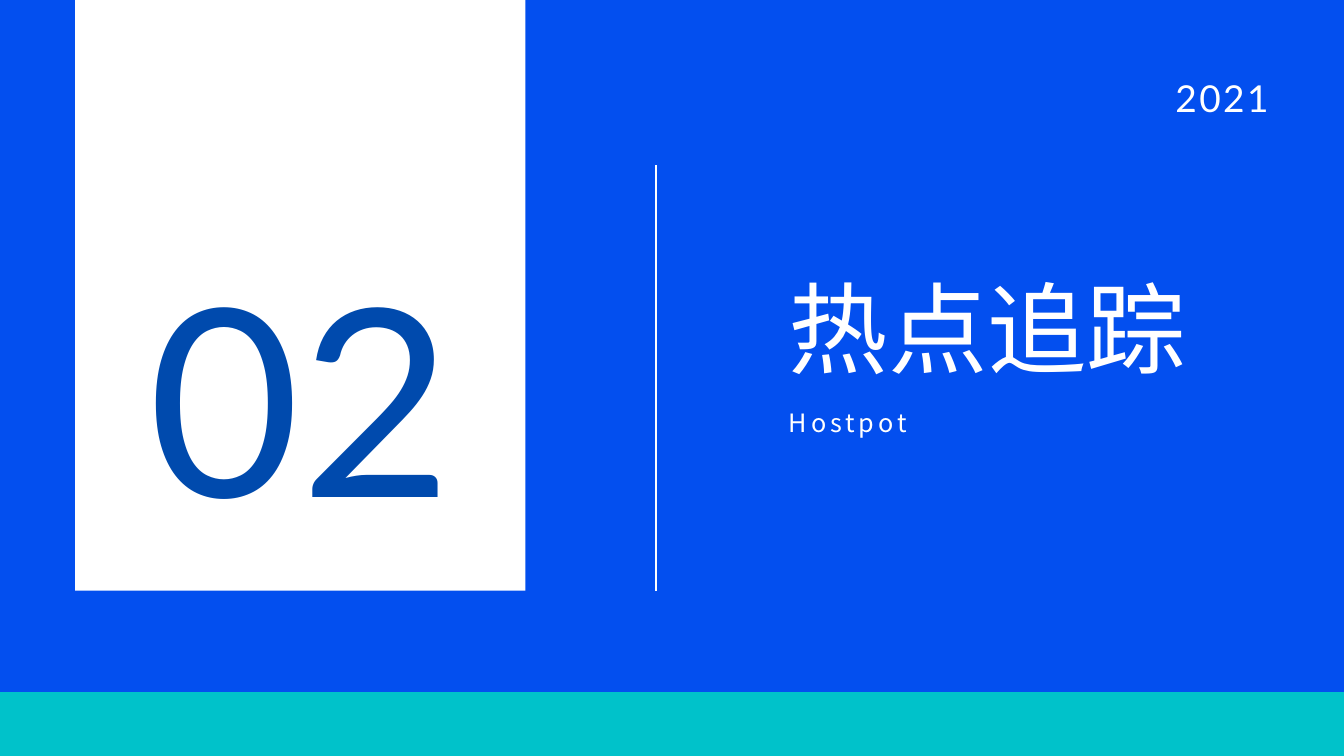
"""Build the section slide for part 02."""
from lxml import etree
from pptx import Presentation
from pptx import util as u
from pptx.dml.color import RGBColor
from pptx.enum import shapes, text
from pptx.oxml.ns import qn

COLORS = {"back": "034FEF", "band": "00C2CA", "white": "FFFFFF", "number": "004AAD"}
RGB = {name: RGBColor.from_string(code) for name, code in COLORS.items()}
LEFT, MID, RIGHT = text.PP_ALIGN.LEFT, text.PP_ALIGN.CENTER, text.PP_ALIGN.RIGHT

deck = Presentation()
deck.slide_width, deck.slide_height = u.Inches(20), u.Inches(11.25)
slide = deck.slides.add_slide(deck.slide_layouts[5])
slide.background.fill.solid()
slide.background.fill.fore_color.rgb = RGB["back"]

panels = [("band", 0, 10.3, 20, 0.95), ("white", 1.12, 0, 6.7, 8.79)]
for color, *area in panels:
    panel = slide.shapes.add_shape(shapes.MSO_SHAPE.RECTANGLE, *map(u.Inches, area))
    panel.shadow.inherit = False
    panel.fill.solid()
    panel.fill.fore_color.rgb = RGB[color]
    panel.line.fill.background()

ends = map(u.Inches, (9.76, 2.46, 9.76, 8.79))
rule = slide.shapes.add_connector(shapes.MSO_CONNECTOR.STRAIGHT, *ends)
rule.line.color.rgb = RGB["white"]
rule.line.width = u.Pt(2)
etree.SubElement(rule.element.spPr, qn("a:effectLst"))

FRAME = {"margin_left": 0, "margin_top": 0, "margin_right": 0, "margin_bottom": 0,
         "word_wrap": True, "auto_size": text.MSO_AUTO_SIZE.NONE,
         "vertical_anchor": text.MSO_ANCHOR.TOP}
labels = [
    ("02", (1.29, 3.15, 6.37, 4.78), "Lato", 280.7, 362.1, "number", MID, 0),
    ("热点追踪", (11.74, 3.68, 7.64, 2), "Calibri", 106.5, 149.2, "white", LEFT, 0),
    ("Hostpot", (11.74, 5.99, 6.24, 0.5), "Noto Sans CJK SC", 27, 37.8, "white", LEFT, 4.2),
    ("2021", (15.56, 1.07, 3.32, 0.68), "Lato", 39.7, 51.2, "white", RIGHT, 2.6),
]
for words, area, face, size, pitch, color, align, gap in labels:
    if words == "热点追踪":
        box = slide.shapes.title
        box.left, box.top, box.width, box.height = map(u.Inches, area)
    else:
        box = slide.shapes.add_textbox(*map(u.Inches, area))
    for key, value in FRAME.items():
        setattr(box.text_frame, key, value)
    line = box.text_frame.paragraphs[0]
    line.alignment, line.line_spacing = align, u.Pt(pitch)
    run = line.add_run()
    run.text = words
    for key, value in {"name": face, "size": u.Pt(size)}.items():
        setattr(run.font, key, value)
    run.font.color.rgb = RGB[color]
    if gap:
        run.font._element.set("spc", str(round(gap * 100)))

deck.save("out.pptx")
